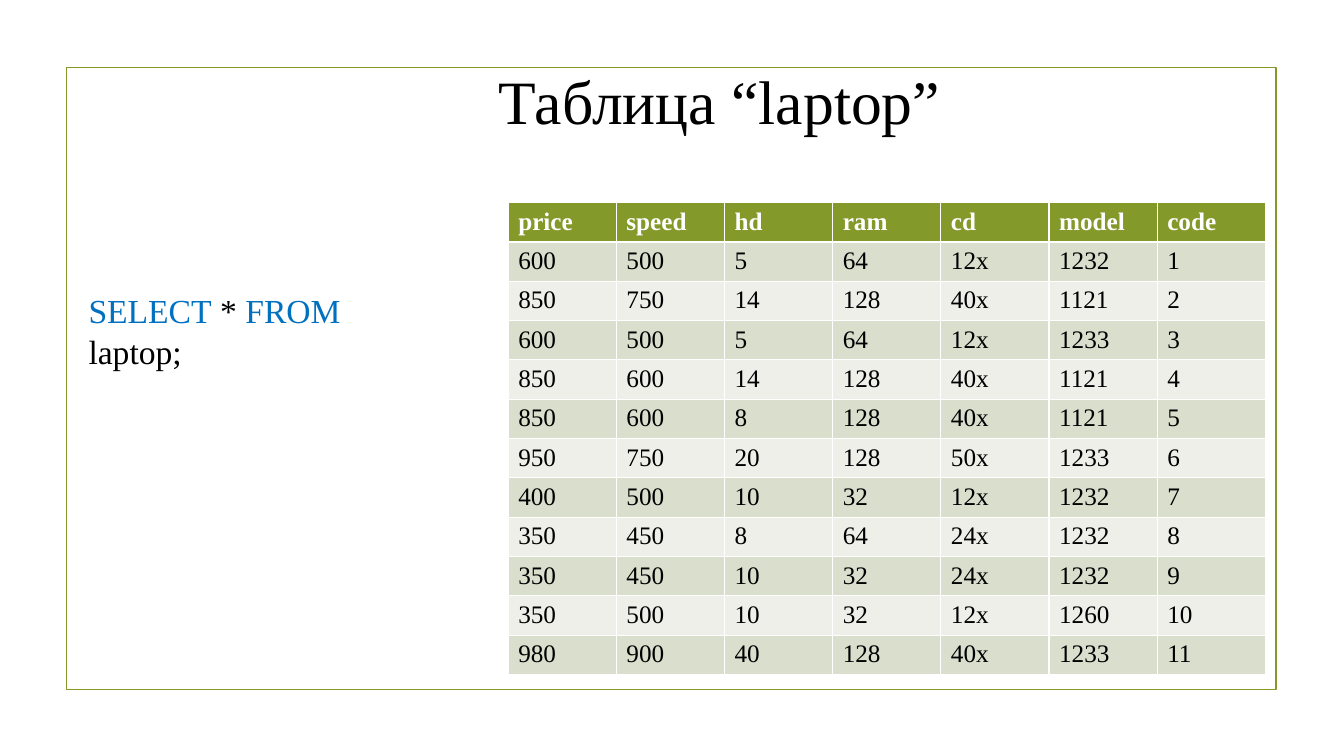
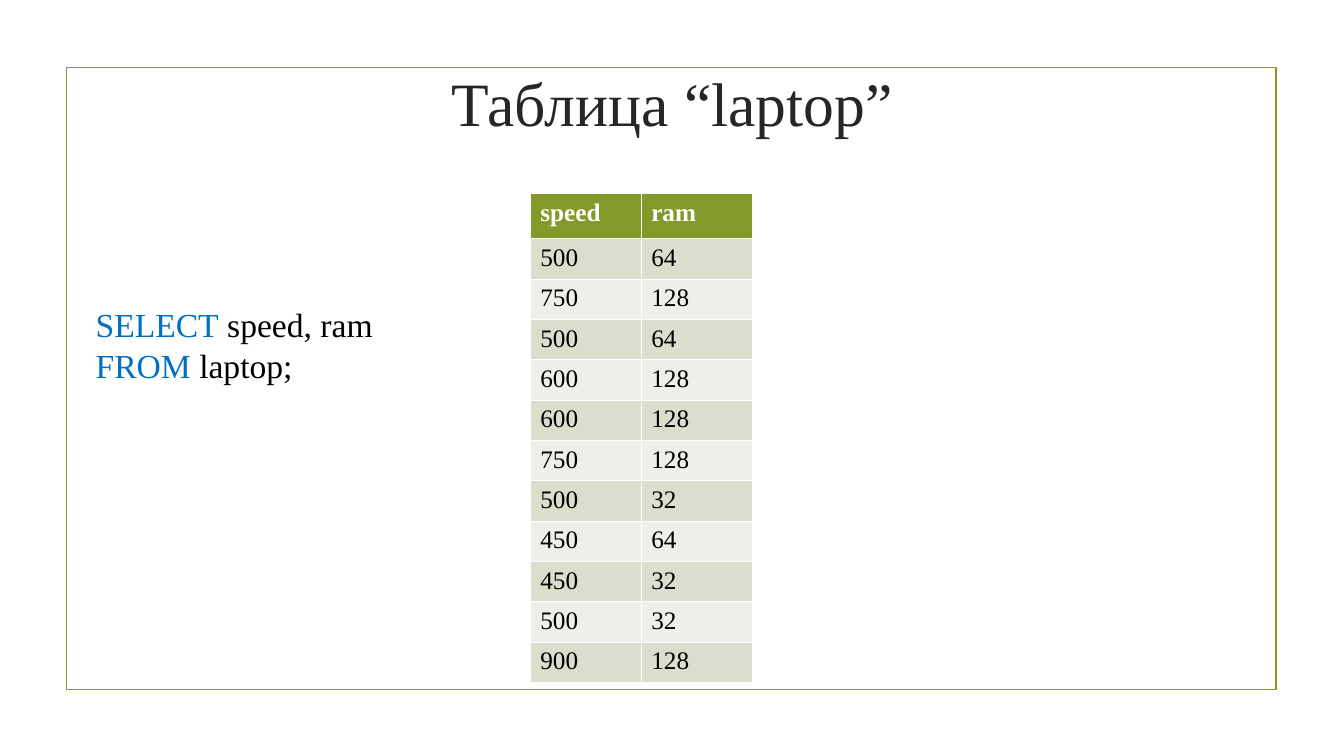
from pptx import Presentation
from pptx.dml.color import RGBColor
from pptx.enum.shapes import MSO_SHAPE
from pptx.enum.text import PP_ALIGN
from pptx.util import Pt

RECTANGLE = MSO_SHAPE.RECTANGLE
LEFT, CENTER = PP_ALIGN.LEFT, PP_ALIGN.CENTER

PX = 9144  # EMU per px, 100 px to the inch
FONT = "Times New Roman"
GREEN, KEYWORD, BLACK, CHARCOAL, WHITE = "83992A", "0070C0", "000000", "262626", "FFFFFF"
BANDS = ("D9DECD", "EDEFE8")
KEYWORDS = {"SELECT", "FROM"}

TITLE = "Таблица “laptop”"
COLUMNS = ("price", "speed", "hd", "ram", "cd", "model", "code")
LAPTOPS = [
    (600, 500, 5, 64, "12x", 1232, 1),
    (850, 750, 14, 128, "40x", 1121, 2),
    (600, 500, 5, 64, "12x", 1233, 3),
    (850, 600, 14, 128, "40x", 1121, 4),
    (850, 600, 8, 128, "40x", 1121, 5),
    (950, 750, 20, 128, "50x", 1233, 6),
    (400, 500, 10, 32, "12x", 1232, 7),
    (350, 450, 8, 64, "24x", 1232, 8),
    (350, 450, 10, 32, "24x", 1232, 9),
    (350, 500, 10, 32, "12x", 1260, 10),
    (980, 900, 40, 128, "40x", 1233, 11),
]

# Boxes are left, top, width, height
SLIDES = [
    dict(title_box=(485, 58, 473, 84), title_color=BLACK, title_align=LEFT,
         query=[("SELECT", " * ", "FROM", " laptop;")], query_box=(78, 283, 350, 90),
         columns=COLUMNS, table_at=(504, 201), column_width=107.3,
         header_height=38, row_height=38),
    dict(title_box=(142, 60, 1050, 143), title_color=CHARCOAL, title_align=CENTER,
         query=[("SELECT", " speed, ram"), ("FROM", " laptop;")], query_box=(85, 297, 551, 121),
         columns=("speed", "ram"), table_at=(526, 192), column_width=110,
         header_height=45, row_height=40),
]


def px(*lengths):
    return [round(length * PX) for length in lengths]


def rgb(color):
    return RGBColor.from_string(color)


def style(font, size, color, bold=False):
    font.name, font.size, font.bold = FONT, Pt(size), bold
    font.color.rgb = rgb(color)


def add_frame(slide):
    frame = slide.shapes.add_shape(RECTANGLE, *px(66, 67, 1200, 617))
    frame.shadow.inherit = False
    frame.fill.background()
    frame.line.color.rgb = rgb(GREEN)
    frame.line.width = Pt(1.25)


def add_text(slide, box):
    text = slide.shapes.add_textbox(*px(*box)).text_frame
    text.word_wrap = True
    return text


def add_title(slide, box, color, align):
    title = add_text(slide, box).paragraphs[0]
    title.text = TITLE
    title.alignment = align
    style(title.font, 44, color)


def add_query(slide, lines, box):
    text = add_text(slide, box)
    for i, words in enumerate(lines):
        line = text.add_paragraph() if i else text.paragraphs[0]
        for word in words:
            run = line.add_run()
            run.text = word
            style(run.font, 24, KEYWORD if word in KEYWORDS else BLACK)


def add_result(slide, columns, at, column_width, header_height, row_height):
    """Add a table with the chosen columns of every laptop."""
    picked = [COLUMNS.index(name) for name in columns]
    rows = [columns] + [[laptop[i] for i in picked] for laptop in LAPTOPS]
    width = column_width * len(columns)
    height = header_height + row_height * len(LAPTOPS)
    table = slide.shapes.add_table(len(rows), len(columns), *px(*at, width, height)).table
    for column in table.columns:
        column.width, = px(column_width)
    for r, values in enumerate(rows):
        table.rows[r].height, = px(row_height if r else header_height)
        for c, value in enumerate(values):
            cell = table.cell(r, c)
            cell.margin_top, cell.margin_bottom = px(5, 4)
            cell.fill.solid()
            cell.fill.fore_color.rgb = rgb(BANDS[(r - 1) % 2] if r else GREEN)
            cell.text = str(value)
            style(cell.text_frame.paragraphs[0].font, 18, BLACK if r else WHITE, bold=r == 0)


def main():
    deck = Presentation()
    deck.slide_width, deck.slide_height = px(1333, 750)
    blank = deck.slide_layouts[6]
    for content in SLIDES:
        slide = deck.slides.add_slide(blank)
        add_frame(slide)
        add_query(slide, content["query"], content["query_box"])
        add_result(slide, content["columns"], content["table_at"], content["column_width"],
                   content["header_height"], content["row_height"])
        add_title(slide, content["title_box"], content["title_color"], content["title_align"])
    deck.save("out.pptx")


if __name__ == "__main__":
    main()
